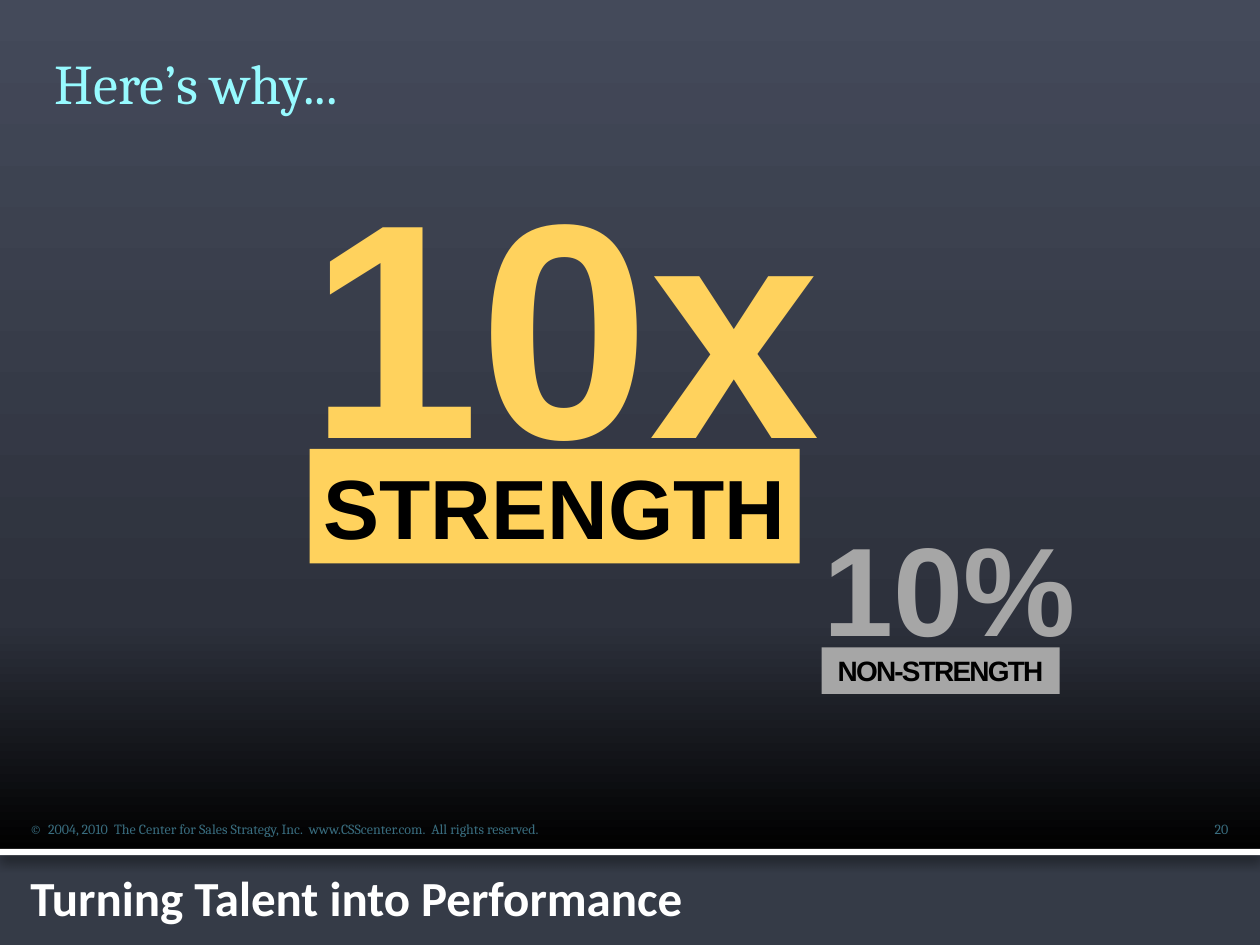
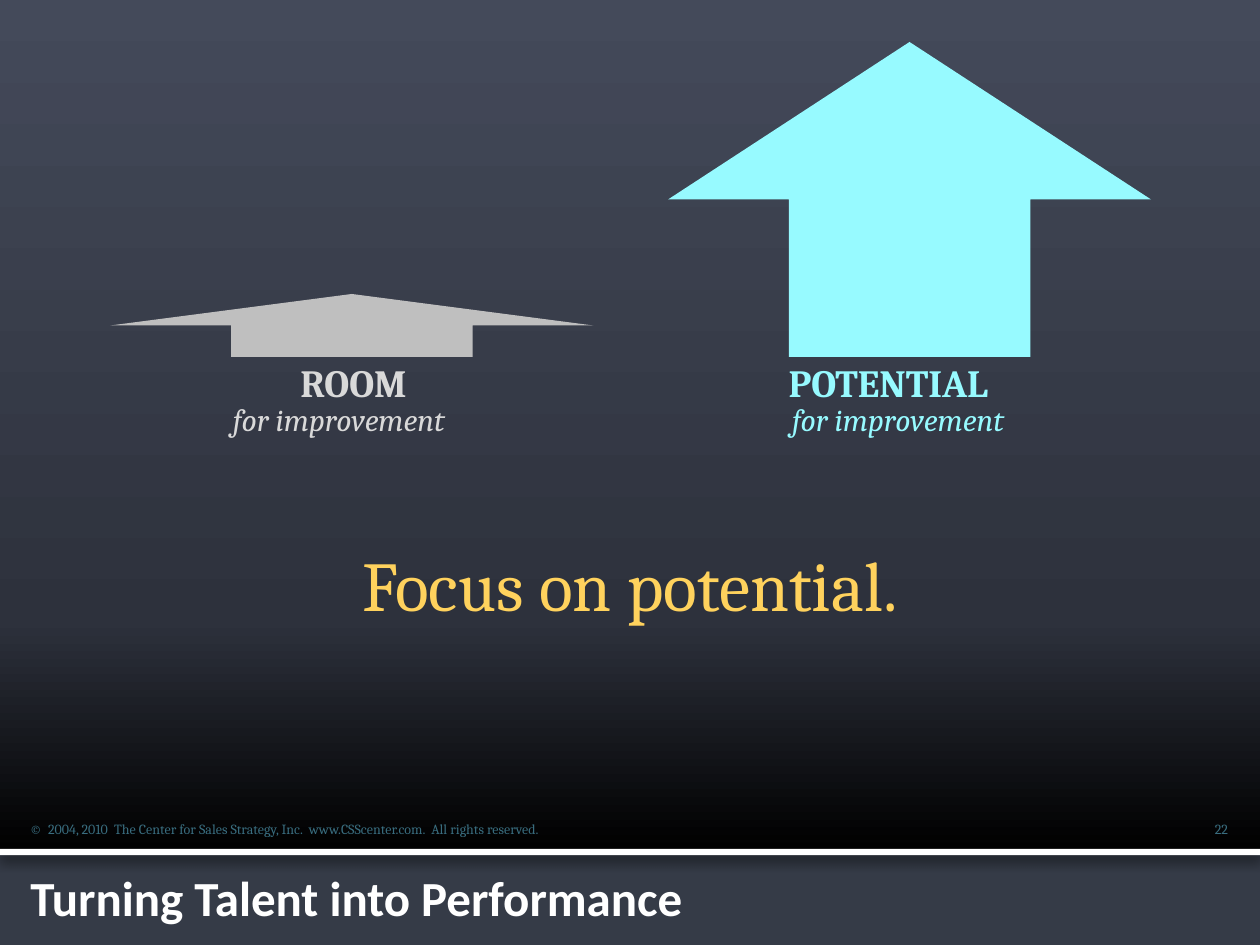
from dataclasses import dataclass

from lxml.etree import SubElement
from pptx import Presentation
from pptx.dml.color import RGBColor
from pptx.enum.shapes import MSO_SHAPE as Kind
from pptx.enum.text import MSO_ANCHOR as Anchor, MSO_AUTO_SIZE as Fit, PP_ALIGN as Align
from pptx.oxml.ns import qn
from pptx.shapes.autoshape import Shape
from pptx.slide import Slide
from pptx.util import Pt

SLATE = RGBColor(0x35, 0x3B, 0x47)
BLACK = RGBColor(0x00, 0x00, 0x00)
WHITE = RGBColor(0xFF, 0xFF, 0xFF)
TEAL = RGBColor(0x39, 0x6D, 0x7F)
AQUA = RGBColor(0x97, 0xFA, 0xFF)
GOLD = RGBColor(0xFF, 0xD2, 0x5D)
GRAY = RGBColor(0xA6, 0xA6, 0xA6)
SILVER = RGBColor(0xBF, 0xBF, 0xBF)
PALE = RGBColor(0xD9, 0xD9, 0xD9)
FADE = [(0, BLACK), (27, RGBColor(0x2D, 0x31, 0x3C)), (100, RGBColor(0x44, 0x4A, 0x5A))]

SERIF, SANS, BRAND = "Cambria", "Arial", "Calibri"
RIGHTS = ("©  2004, 2010  The Center for Sales Strategy, Inc.  "
          "www.CSScenter.com.  All rights reserved.")


@dataclass(frozen=True)
class Box:
    left: float
    top: float
    width: float
    height: float


@dataclass(frozen=True)
class Style:
    font: str
    size: float
    color: RGBColor
    bold: bool = False
    slant: bool = False
    align: Align = Align.LEFT


@dataclass(frozen=True)
class Run:
    text: str
    track: float = 0


@dataclass(frozen=True)
class Stat:
    """A big figure above a filled tag."""
    lead: Run
    rest: Run
    spot: Box
    size: float
    tag: Run
    plate: Box
    small: float
    color: RGBColor


@dataclass(frozen=True)
class Gauge:
    """An arrow with a two-line label below it."""
    arrow: Box
    fill: RGBColor
    name: str
    left: float
    color: RGBColor
    align: Align


STATS = [
    Stat(Run("1", -25), Run("0x"), Box(169.5, 72, 322, 176), 175,
         Run("STRENGTH"), Box(177, 256.5, 280, 65.5), 48, GOLD),
    Stat(Run("1", -10), Run("0%"), Box(463.5, 288, 168, 108), 72,
         Run("NON-STRENGTH", -1), Box(469.5, 370, 136, 26.6), 16, GRAY),
]
GAUGES = [
    Gauge(Box(63, 168, 276, 36), SILVER, "ROOM", 124, PALE, Align.CENTER),
    Gauge(Box(381.75, 24, 276, 180), AQUA, "POTENTIAL", 443.5, AQUA, Align.LEFT),
]


def place(box: Box) -> list[Pt]:
    return [Pt(n) for n in (box.left, box.top, box.width, box.height)]


def write(shape: Shape, runs: list[Run], style: Style, anchor: Anchor = Anchor.TOP) -> None:
    frame = shape.text_frame
    frame.word_wrap = True
    frame.auto_size = Fit.NONE
    frame.vertical_anchor = anchor
    para = frame.paragraphs[0]
    para.alignment = style.align
    for part in runs:
        run = para.add_run()
        run.text = part.text
        font = run.font
        font.name, font.size = style.font, Pt(style.size)
        font.bold, font.italic = style.bold, style.slant
        font.color.rgb = style.color
        if part.track:
            run._r.get_or_add_rPr().set("spc", str(int(part.track * 100)))


def label(slide: Slide, box: Box, runs: list[Run], style: Style) -> None:
    write(slide.shapes.add_textbox(*place(box)), runs, style)


def solid(slide: Slide, kind: Kind, box: Box, color: RGBColor) -> Shape:
    shape = slide.shapes.add_shape(kind, *place(box))
    shape.shadow.inherit = False
    shape.fill.solid()
    shape.fill.fore_color.rgb = color
    shape.line.fill.background()
    return shape


def tint(node, color: RGBColor):
    return SubElement(node, qn("a:srgbClr"), val=str(color))


def fade(shape: Shape) -> None:
    """Fill the shape with the FADE stops, from bottom to top."""
    shape.fill.gradient()
    shape.fill.gradient_angle = 90
    stops = shape._element.spPr.find(qn("a:gradFill")).find(qn("a:gsLst"))
    for stop in list(stops):
        stops.remove(stop)
    for pos, color in FADE:
        tint(SubElement(stops, qn("a:gs"), pos=str(pos * 1000)), color)


def shade(shape: Shape) -> None:
    """Cast a soft shadow straight down."""
    effects = shape._element.spPr.find(qn("a:effectLst"))
    cast = SubElement(effects, qn("a:outerShdw"), blurRad=str(Pt(7)), dist=str(Pt(3)),
                      dir="5400000", algn="t", rotWithShape="0")
    SubElement(tint(cast, BLACK), qn("a:alpha"), val="65000")


def start(deck: Presentation, page: int, title: str, box: Box, style: Style) -> Slide:
    """Add a slide with the shared backdrop, footer and a title."""
    slide = deck.slides.add_slide(deck.slide_layouts[5])
    back = slide.background.fill
    back.solid()
    back.fore_color.rgb = SLATE
    fade(solid(slide, Kind.RECTANGLE, Box(0, 0, 720, 486), BLACK))
    shade(solid(slide, Kind.RECTANGLE, Box(0, 485, 720, 3.6), WHITE))
    label(slide, Box(10.25, 492, 402, 41), [Run("Turning Talent into Performance")],
          Style(BRAND, 28, WHITE, bold=True))
    label(slide, Box(680, 465.5, 36, 17), [Run(str(page))],
          Style(SERIF, 8, TEAL, align=Align.CENTER))
    label(slide, Box(10, 465.5, 342, 17), [Run(RIGHTS)], Style(SERIF, 8, TEAL))

    head = slide.shapes.title
    head.left, head.top, head.width, head.height = place(box)
    write(head, [Run(title)], style)
    slide.shapes.element.append(head.element)  # bring in front of the backdrop
    return slide


def draw_stat(slide: Slide, stat: Stat) -> None:
    label(slide, stat.spot, [stat.lead, stat.rest],
          Style(SANS, stat.size, stat.color, bold=True))
    plate = solid(slide, Kind.RECTANGLE, stat.plate, stat.color)
    write(plate, [stat.tag], Style(SANS, stat.small, BLACK, bold=True, align=Align.CENTER),
          Anchor.MIDDLE)


def draw_gauge(slide: Slide, gauge: Gauge) -> None:
    solid(slide, Kind.UP_ARROW, gauge.arrow, gauge.fill)
    label(slide, Box(gauge.left, 201.5, 156, 34), [Run(gauge.name)],
          Style(SERIF, 22, gauge.color, bold=True, align=gauge.align))
    label(slide, Box(gauge.left + 2, 225, 156, 29), [Run("for improvement")],
          Style(SERIF, 18, gauge.color, slant=True))


def main() -> None:
    deck = Presentation()
    deck.slide_width, deck.slide_height = Pt(720), Pt(540)

    why = start(deck, 20, "Here’s why...", Box(24, 24, 283, 46), Style(SERIF, 32, AQUA))
    for stat in STATS:
        draw_stat(why, stat)

    focus = start(deck, 22, "Focus on potential.", Box(168, 306, 384, 55.5),
                  Style(SERIF, 40, GOLD, align=Align.CENTER))
    for gauge in GAUGES:
        draw_gauge(focus, gauge)

    deck.save("out.pptx")


if __name__ == "__main__":
    main()
